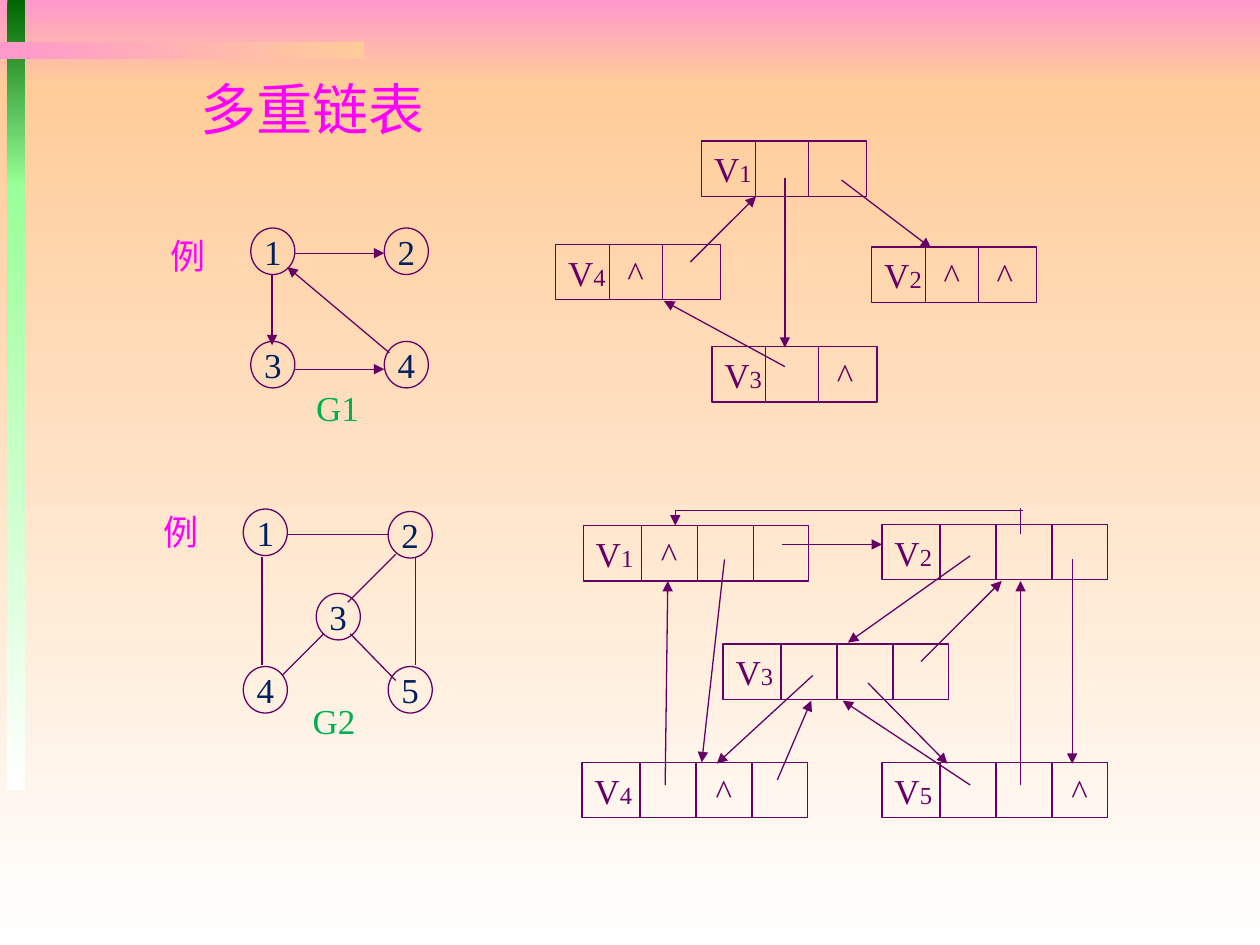
from lxml import etree
from pptx import Presentation
from pptx.dml.color import RGBColor
from pptx.enum.shapes import MSO_CONNECTOR, MSO_SHAPE
from pptx.enum.text import MSO_ANCHOR, PP_ALIGN
from pptx.oxml.ns import qn
from pptx.util import Pt

RECT, OVAL = MSO_SHAPE.RECTANGLE, MSO_SHAPE.OVAL
STRAIGHT = MSO_CONNECTOR.STRAIGHT
MIDDLE, TOP = MSO_ANCHOR.MIDDLE, MSO_ANCHOR.TOP
LEFT, CENTER = PP_ALIGN.LEFT, PP_ALIGN.CENTER
SERIF = "Times New Roman"
PLUM, MAGENTA, GREEN, NAVY = "660066", "FF00FF", "00B050", "002060"
PINK, PEACH, WHITE, LIME, FOREST = "FF99CC", "FFCC99", "FFFFFF", "99FF99", "006600"
NODE_W, NODE_H = 25.2, 26.6
RECORD_H, INSET = 31.7, 7.2


def color(hex_value):
    """Turn a hex string into a colour."""
    return RGBColor.from_string(hex_value)


def add_band(slide, left, top, width, height, start, end, angle=270):
    """Draw a borderless band with a two-colour gradient."""
    band = slide.shapes.add_shape(RECT, Pt(left), Pt(top), Pt(width), Pt(height))
    band.shadow.inherit = False
    band.line.fill.background()
    band.fill.gradient()
    band.fill.gradient_angle = angle
    for stop, shade in zip(band.fill.gradient_stops, (start, end)):
        stop.color.rgb = color(shade)


def add_line(slide, origin, ends, arrow=True):
    """Draw a straight line, optionally with an arrowhead at its end."""
    x, y = origin
    x1, y1, x2, y2 = ends
    link = slide.shapes.add_connector(STRAIGHT, Pt(x + x1), Pt(y + y1), Pt(x + x2), Pt(y + y2))
    link.line.color.rgb = color(PLUM)
    link.line.width = Pt(0.75)
    if arrow:
        etree.SubElement(link.line._get_or_add_ln(), qn("a:tailEnd"), type="triangle")
    etree.SubElement(link._element.spPr, qn("a:effectLst"))


def add_outline(slide, kind, left, top, width, height):
    """Draw an unfilled shape with a thin plum border."""
    outline = slide.shapes.add_shape(kind, Pt(left), Pt(top), Pt(width), Pt(height))
    outline.shadow.inherit = False
    outline.fill.background()
    outline.line.color.rgb = color(PLUM)
    outline.line.width = Pt(0.75)
    return outline


def write(shape, runs, shade, font=SERIF, align=CENTER, anchor=MIDDLE, wrap=False):
    """Write (text, size) runs into the first paragraph of a shape."""
    frame = shape.text_frame
    frame.word_wrap = wrap
    frame.vertical_anchor = anchor
    paragraph = frame.paragraphs[0]
    paragraph.alignment = align
    for text, size in runs:
        run = paragraph.add_run()
        run.text = text
        run.font.size = Pt(size)
        run.font.name = font
        run.font.color.rgb = color(shade)
    return paragraph


def add_caption(slide, left, top, width, text, shade):
    """Place a short centred caption."""
    caption = slide.shapes.add_textbox(Pt(left), Pt(top), Pt(width), Pt(31))
    write(caption, [(text, 20)], shade)


def add_title(slide, left, top, width, height):
    """Place the slide title."""
    title = slide.shapes.add_textbox(Pt(left), Pt(top), Pt(width), Pt(height))
    heading = write(title, [("多重链表", 32)], MAGENTA, "Arial", LEFT, TOP, True)
    heading.line_spacing = 0.9


def add_graph(slide, origin, name, name_at, nodes, edges, directed):
    """Draw an example graph with its nodes, edges and captions."""
    x, y = origin
    add_caption(slide, x, y, 34.6, "例", MAGENTA)
    add_caption(slide, x + name_at[0], y + name_at[1], 38.9, name, GREEN)
    for number, (left, top) in nodes.items():
        node = add_outline(slide, OVAL, x + left, y + top, NODE_W, NODE_H)
        write(node, [(number, 20)], NAVY)
    for edge in edges:
        add_line(slide, origin, edge, directed)


def add_record(slide, left, top, number, null_fields, field_count, label_w, field_w, width):
    """Draw a vertex record, marking its null link fields with ^."""
    record = add_outline(slide, RECT, left, top, width, RECORD_H)
    runs = [("V", 20), (number, 14)] + [("\t^", 20)] * len(null_fields)
    paragraph = write(record, runs, PLUM, align=LEFT, wrap=True)
    if null_fields:
        stops = etree.SubElement(paragraph._p.get_or_add_pPr(), qn("a:tabLst"))
        for field in null_fields:
            middle = Pt(label_w + (field + 0.5) * field_w - INSET)
            etree.SubElement(stops, qn("a:tab"), pos=str(middle), algn="ctr")
    for field in range(field_count):
        divider = label_w + field * field_w
        add_line(slide, (left, top), (divider, 0, divider, RECORD_H), False)


def add_multilist(slide, origin, records, layout, pointers, plain_lines=()):
    """Draw linked vertex records and the pointers between them."""
    x, y = origin
    for number, (left, top, null_fields) in records.items():
        add_record(slide, x + left, y + top, number, null_fields, *layout)
    for line in plain_lines:
        add_line(slide, origin, line, False)
    for pointer in pointers:
        add_line(slide, origin, pointer)


def add_backdrop(slide, width, height):
    """Cover the slide with gradients and the crossed corner bars."""
    add_band(slide, 0, 0, width, 48, PINK, PEACH)
    add_band(slide, 0, 48, width, height - 48, PEACH, WHITE)
    add_band(slide, 4.3, 0, 10.1, 106.6, FOREST, LIME)
    add_band(slide, 4.3, 105, 10.1, 346.4, LIME, WHITE)
    add_band(slide, 0, 23.8, 208.1, 10.1, PINK, PEACH, 0)


def main():
    """Build and save the slide."""
    deck = Presentation()
    deck.slide_width, deck.slide_height = Pt(720), Pt(540)
    slide = deck.slides.add_slide(deck.slide_layouts[6])
    add_backdrop(slide, 720, 540)
    add_graph(
        slide, (90, 130.3), "G1", (83.5, 87.1),
        {"1": (53.3, 0), "2": (129.6, 0), "3": (53.3, 64.8), "4": (129.6, 64.8)},
        [(78.5, 14.4, 129.6, 14.4), (78.5, 80.7, 129.6, 80.7),
         (65.5, 26.6, 65.5, 67), (132.5, 71.3, 74.2, 22.3)],
        directed=True)
    add_graph(
        slide, (86.4, 288), "G2", (85, 108),
        {"1": (52.6, 2.9), "2": (135.4, 4.3), "3": (94.3, 51.1),
         "4": (52.6, 92.9), "5": (135.4, 92.9)},
        [(77.8, 17.3, 136.1, 17.3), (63.4, 30.2, 63.4, 92.2),
         (151.2, 30.2, 151.2, 92.2), (113.8, 74.2, 139.7, 100.8),
         (139.7, 28.8, 112.3, 56.2), (98.6, 74.2, 74.9, 97.9)],
        directed=False)
    add_multilist(
        slide, (317.5, 80.6),
        {"1": (83.5, 0, []), "2": (180.7, 60.5, [0, 1]),
         "4": (0, 59, [0]), "3": (89.3, 117.4, [1])},
        (2, 30.6, 30.4, 94.3),
        [(163.4, 22.3, 214.6, 61.2), (77, 69.1, 114.5, 31.7),
         (131, 20.9, 131, 118.1), (131, 128.9, 61.9, 91.4)])
    add_multilist(
        slide, (332.6, 290.2),
        {"1": (0.7, 10.1, [0]), "2": (171.4, 9.4, []), "4": (0, 145.4, [1]),
         "5": (171.4, 145.4, [2]), "3": (80.6, 77.8, [])},
        (3, 33.1, 32, 128.9),
        [(81.4, 29.5, 68.4, 145.4), (114.5, 20.9, 171.4, 20.9),
         (53.3, 1.4, 53.3, 10.1), (221.8, 27.4, 151.9, 77),
         (280.1, 29.5, 280.1, 146.2), (193.7, 87.8, 239.8, 41.8),
         (163.4, 100.1, 208.8, 146.2), (131.8, 95.8, 77, 146.2),
         (47.5, 158.4, 49, 41.8), (111.6, 155.5, 131, 110.2),
         (250.6, 158.4, 250.6, 41.8), (221.8, 158.4, 149, 110.2)],
        [(250.6, 15.1, 250.6, 0), (252, 1.4, 53.3, 1.4)])
    add_title(slide, 107.3, 43.2, 146.2, 42.5)
    deck.save("out.pptx")


if __name__ == "__main__":
    main()
